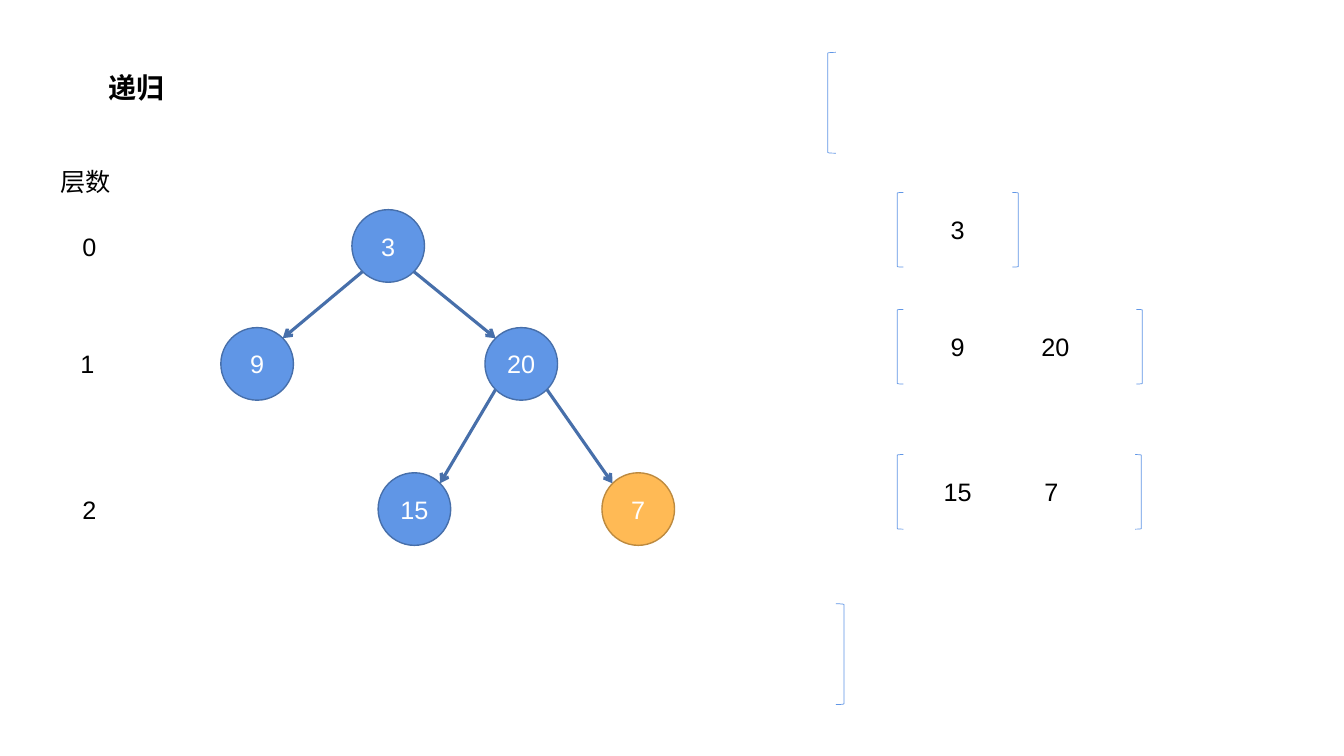
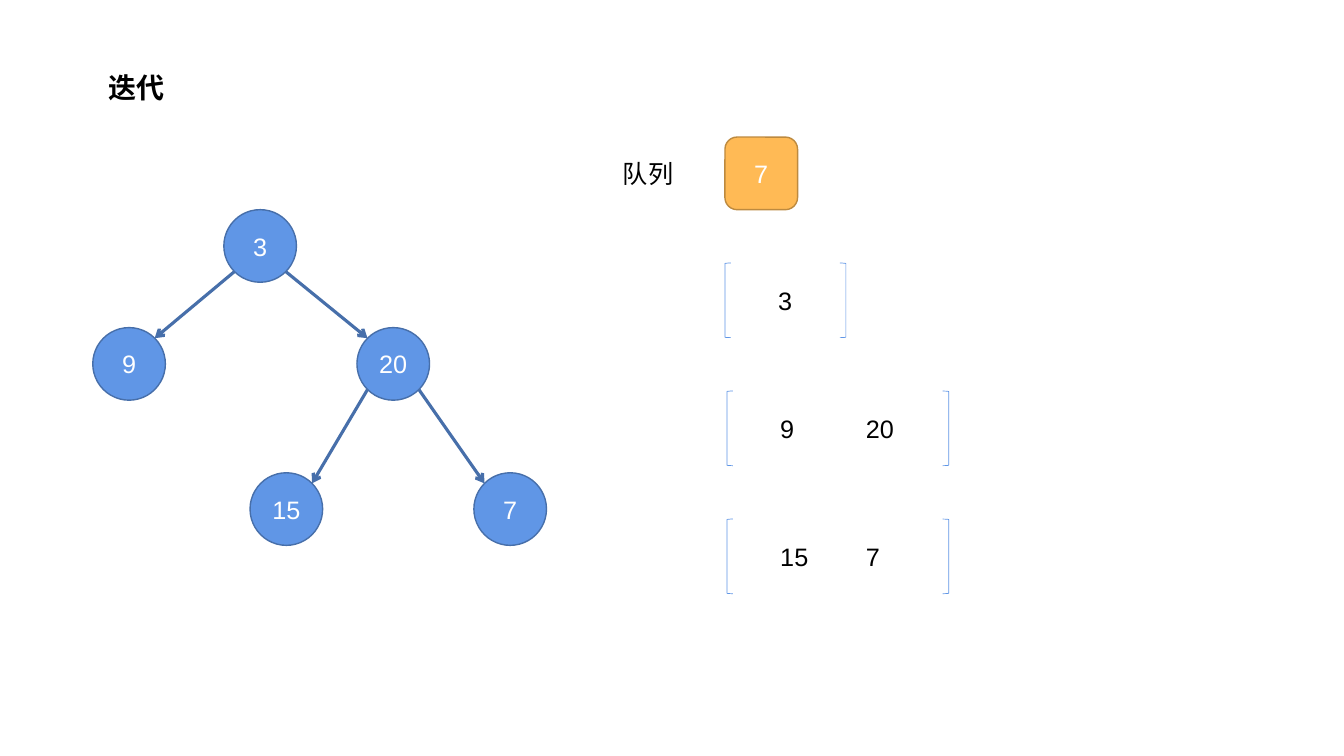
import math
from pptx import Presentation
from pptx.dml.color import RGBColor
from pptx.enum.shapes import MSO_CONNECTOR, MSO_SHAPE
from pptx.enum.text import MSO_ANCHOR, MSO_AUTO_SIZE, PP_ALIGN
from pptx.oxml.ns import qn
from pptx.util import Inches, Pt
from lxml import etree

LINE = MSO_CONNECTOR.STRAIGHT
OVAL, ROUNDED = MSO_SHAPE.OVAL, MSO_SHAPE.ROUNDED_RECTANGLE
LEFT_BRACKET, RIGHT_BRACKET = MSO_SHAPE.LEFT_BRACKET, MSO_SHAPE.RIGHT_BRACKET
MIDDLE, CENTER = MSO_ANCHOR.MIDDLE, PP_ALIGN.CENTER
FIT = MSO_AUTO_SIZE.SHAPE_TO_FIT_TEXT

BLUE, DARK_BLUE = "6096E6", "476FAA"
ORANGE, DARK_ORANGE = "FFBA55", "BD8A3F"
BLACK, WHITE = "000000", "FFFFFF"
NODE = 0.72                             # node diameter
TEXT_DROP = 0.17                        # from bracket top to its text

# Node value -> left, top; then parent -> left child, right child
TREE = {"3": (3.49, 2.08), "9": (2.19, 3.25), "20": (4.81, 3.25),
        "15": (3.75, 4.69), "7": (5.97, 4.69)}
CHILDREN = {"3": ("9", "20"), "20": ("15", "7")}


def rgb(value):
    return RGBColor.from_string(value)


class Deck:
    body = {"name": "Arial", "size": Pt(18), "bold": False}
    title_style = {"name": "Arial", "size": Pt(20), "bold": True}

    def __init__(self):
        self.prs = Presentation()
        self.prs.slide_width = Inches(13.33)
        self.prs.slide_height = Inches(7.5)
        self.s = None

    def slide(self, title):
        self.s = self.prs.slides.add_slide(self.prs.slide_layouts[6])
        self.text(title, 0.98, 0.65, 2.23, 0.44, self.title_style, wrap=True)

    def styled_run(self, tf, text, color, style):
        p = tf.paragraphs[0]
        r = p.add_run()
        r.text = text
        for name, value in style.items():
            setattr(r.font, name, value)
        r.font.color.rgb = rgb(color)
        return p

    def text(self, text, x, y, w=None, h=0.4, style=body, wrap=False):
        w = w or 0.2 + 0.14 * len(text)
        tf = self.s.shapes.add_textbox(*map(Inches, (x, y, w, h))).text_frame
        tf.word_wrap = wrap
        tf.auto_size = FIT
        self.styled_run(tf, text, BLACK, style)

    def shape(self, kind, x, y, w, h, fill, line, weight):
        sp = self.s.shapes.add_shape(kind, *map(Inches, (x, y, w, h)))
        sp.shadow.inherit = False
        if fill:
            sp.fill.solid()
            sp.fill.fore_color.rgb = rgb(fill)
        else:
            sp.fill.background()
        sp.line.color.rgb = rgb(line)
        sp.line.width = Pt(weight)
        return sp

    def node(self, text, x, y, kind=OVAL, active=False):
        fill, line = (ORANGE, DARK_ORANGE) if active else (BLUE, DARK_BLUE)
        tf = self.shape(kind, x, y, NODE, NODE, fill, line, 1).text_frame
        tf.margin_left = tf.margin_right = 0
        tf.vertical_anchor = MIDDLE
        self.styled_run(tf, text, WHITE, self.body).alignment = CENTER

    def arrow(self, x1, y1, x2, y2):
        c = self.s.shapes.add_connector(LINE, *map(Inches, (x1, y1, x2, y2)))
        c.line.color.rgb = rgb(DARK_BLUE)
        c.line.width = Pt(2.25)
        spPr = c._element.spPr
        etree.SubElement(spPr.find(qn("a:ln")), qn("a:tailEnd"), type="arrow")
        etree.SubElement(spPr, qn("a:effectLst"))

    def bracket(self, kind, x, y, w=0.06, h=0.74):
        self.shape(kind, x, y, w, h, None, BLUE, 0.5)

    def level(self, left, right, y, values):
        """A bracketed list; values are (text, x) pairs."""
        self.bracket(LEFT_BRACKET, left, y)
        self.bracket(RIGHT_BRACKET, right, y)
        for text, x in values:
            self.text(text, x, y + TEXT_DROP)

    def tree(self, shift=0, active=None):
        mid, diagonal = NODE / 2, NODE / 2 * math.sqrt(0.5)
        for parent, children in CHILDREN.items():
            px, py = TREE[parent]
            for child, side in zip(children, (-1, 1)):
                cx, cy = TREE[child]
                self.arrow(px + shift + mid + side * diagonal, py + mid + diagonal,
                           cx + shift + mid - side * diagonal, cy + mid - diagonal)
        for value, (x, y) in TREE.items():
            self.node(value, x + shift, y, active=value == active)


deck = Deck()

# Recursion: tree with level numbers, one list per level
deck.slide("递归")
deck.tree(active="7")
deck.text("层数", 0.5, 1.6, 0.89, wrap=True)
for number, x, y in (("0", 0.72, 2.25), ("1", 0.7, 3.41), ("2", 0.72, 4.85)):
    deck.text(number, x, y)
deck.bracket(LEFT_BRACKET, 8.21, 0.52, 0.08, 1)
deck.bracket(RIGHT_BRACKET, 8.29, 5.99, 0.08, 1)
for right, y, values in ((10.04, 1.91, [("3", 9.33)]),
                         (11.27, 3.07, [("9", 9.33), ("20", 10.23)]),
                         (11.26, 4.51, [("15", 9.26), ("7", 10.26)])):
    deck.level(8.9, right, y, values)

# Iteration: tree with the queue and its lists
deck.slide("迭代")
deck.tree(shift=-1.27)
deck.text("队列", 6.08, 1.52, 0.7)
deck.node("7", 7.19, 1.36, ROUNDED, active=True)
for i, (left, right, values) in enumerate((
        (7.19, 8.33, [("3", 7.62)]),
        (7.21, 9.35, [("9", 7.64), ("20", 8.49)]),
        (7.21, 9.35, [("15", 7.64), ("7", 8.49)]))):
    deck.level(left, right, 2.61 + 1.27 * i, values)

deck.prs.save("out.pptx")
